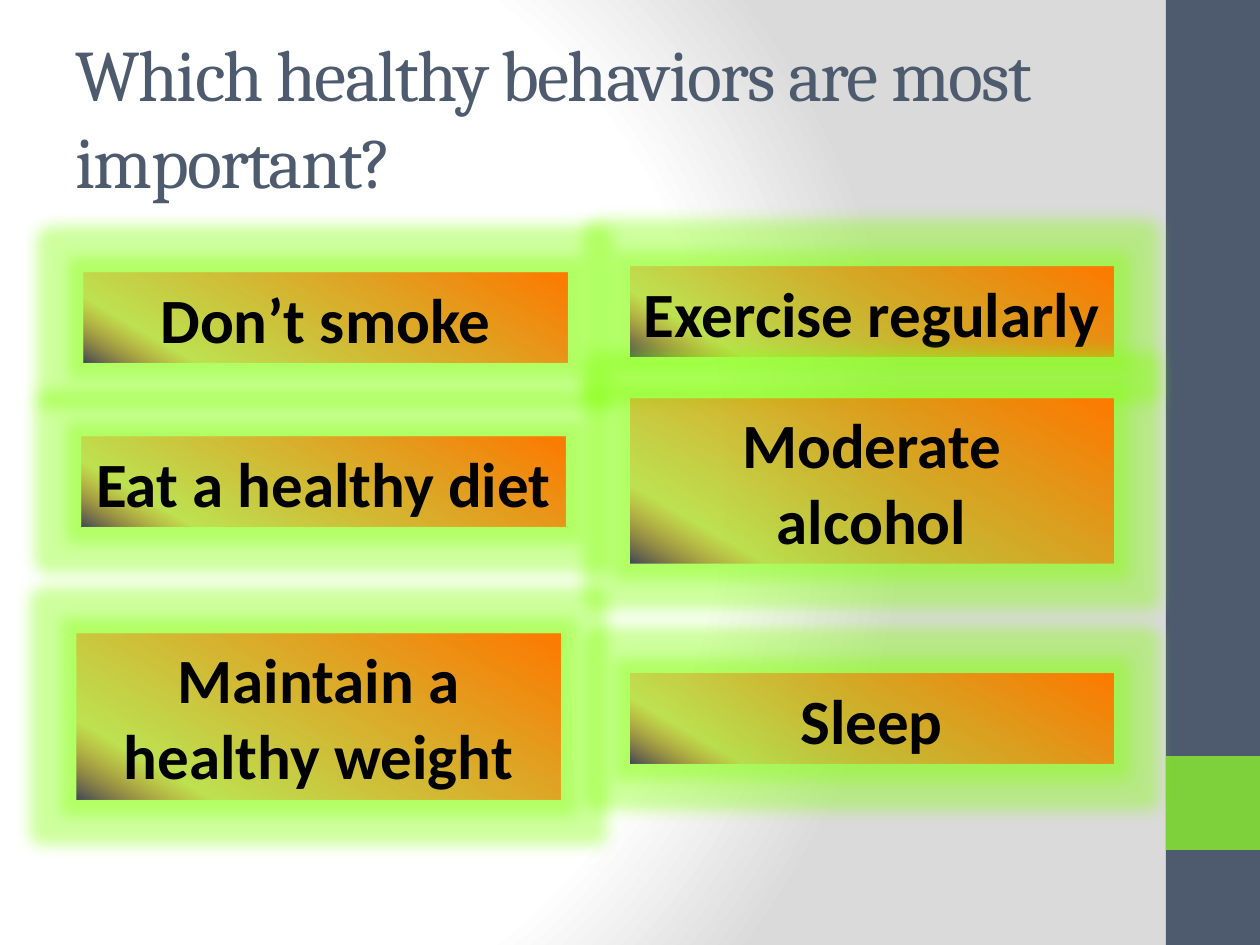
from lxml.etree import SubElement
from pptx import Presentation
from pptx.dml.color import RGBColor
from pptx.enum.shapes import MSO_SHAPE
from pptx.enum.text import MSO_ANCHOR, MSO_AUTO_SIZE, PP_ALIGN
from pptx.oxml import parse_xml
from pptx.oxml.ns import nsdecls, qn
from pptx.util import Emu, Pt

# Content: text, left, top, height (px)
TITLE = "Which healthy behaviors are most important?"
BEHAVIORS = [
    ("Don’t smoke", 84, 273, 90),
    ("Eat a healthy diet", 82, 437, 90),
    ("Maintain a healthy weight", 77, 634, 165),
    ("Exercise regularly", 630, 267, 90),
    ("Moderate alcohol", 630, 399, 165),
    ("Sleep", 630, 674, 90),
]
BOX_WIDTH = 483

SLATE = RGBColor(0x4E, 0x5B, 0x6F)
GREEN = RGBColor(0x7F, 0xD1, 0x3B)
BLACK = RGBColor(0, 0, 0)
GLOW = RGBColor(0x85, 0xFF, 0x0D)

# Gradient stops: position %, colour, opacity %
BOX_STOPS = [
    (0, RGBColor(0x3E, 0x48, 0x58), 100),
    (18, RGBColor(0xF1, 0x6F, 0x07), 20),
    (100, RGBColor(0xFF, 0x7A, 0x00), 100),
    (100, RGBColor(0xFF, 0x03, 0x00), 100),
    (100, RGBColor(0x4D, 0x08, 0x08), 100),
]
PAGE_STOPS = [
    (0, RGBColor(0xFF, 0xFF, 0xFF), 100),
    (75, RGBColor(0xFF, 0xFF, 0xFF), 100),
    (100, RGBColor(0xDA, 0xDA, 0xDA), 100),
]


def px(length):
    return Emu(round(length * 914400 / 126))


def add_color(parent, color, opacity):
    clr = SubElement(parent, qn("a:srgbClr"), val=str(color))
    if opacity < 100:
        SubElement(clr, qn("a:alpha"), val=str(opacity * 1000))


def gradient(stops, direction):
    fill = parse_xml(f'<a:gradFill {nsdecls("a")} rotWithShape="1"><a:gsLst/>{direction}</a:gradFill>')
    for position, color, opacity in stops:
        add_color(SubElement(fill[0], qn("a:gs"), pos=str(position * 1000)), color, opacity)
    return fill


def add_rect(left, top, width, height, color):
    rect = slide.shapes.add_shape(MSO_SHAPE.RECTANGLE, px(left), px(top), px(width), px(height))
    rect.shadow.inherit = False
    rect.fill.solid()
    rect.fill.fore_color.rgb = color
    rect.line.fill.background()
    return rect


def add_behavior(text, left, top, height):
    box = add_rect(left, top, BOX_WIDTH, height, GREEN)
    props = box._element.spPr
    props.replace(props.find(qn("a:solidFill")),
                  gradient(BOX_STOPS, '<a:lin ang="18000000" scaled="0"/>'))
    glow = SubElement(props.find(qn("a:effectLst")), qn("a:glow"), rad=str(Pt(18)))
    add_color(glow, GLOW, 40)

    frame = box.text_frame
    frame.text = text
    frame.word_wrap = True
    frame.auto_size = MSO_AUTO_SIZE.SHAPE_TO_FIT_TEXT
    frame.vertical_anchor = MSO_ANCHOR.MIDDLE
    paragraph = frame.paragraphs[0]
    paragraph.alignment = PP_ALIGN.CENTER
    font = paragraph.font
    font.name, font.size, font.bold = "Calibri", Pt(36), True
    font.color.rgb = BLACK


prs = Presentation()
prs.slide_width, prs.slide_height = px(1260), px(945)
slide = prs.slides.add_slide(prs.slide_layouts[5])

# Background
slide.background.fill.solid()
page = slide._element.cSld.find(qn("p:bg")).find(qn("p:bgPr"))
page.replace(page[0], gradient(
    PAGE_STOPS,
    '<a:path path="circle"><a:fillToRect l="20000" t="50000" r="100000" b="50000"/></a:path>'))

# Side band with its accent square
add_rect(1166, 0, 94, 945, SLATE)
add_rect(1166, 756, 94, 94, GREEN)

# Title
title = slide.shapes.title
title.left, title.top, title.width, title.height = px(63), px(38), px(1050), px(157)
title.text_frame.text = TITLE
title.text_frame.word_wrap = True
title.text_frame.auto_size = MSO_AUTO_SIZE.NONE
title.text_frame.vertical_anchor = MSO_ANCHOR.MIDDLE
heading = title.text_frame.paragraphs[0]
heading.alignment = PP_ALIGN.LEFT
heading.font.name, heading.font.size = "Cambria", Pt(41.4)
heading.font.color.rgb = SLATE
heading.runs[0].font._element.set("spc", "-100")

# Behavior boxes
for behavior in BEHAVIORS:
    add_behavior(*behavior)

prs.save("out.pptx")
